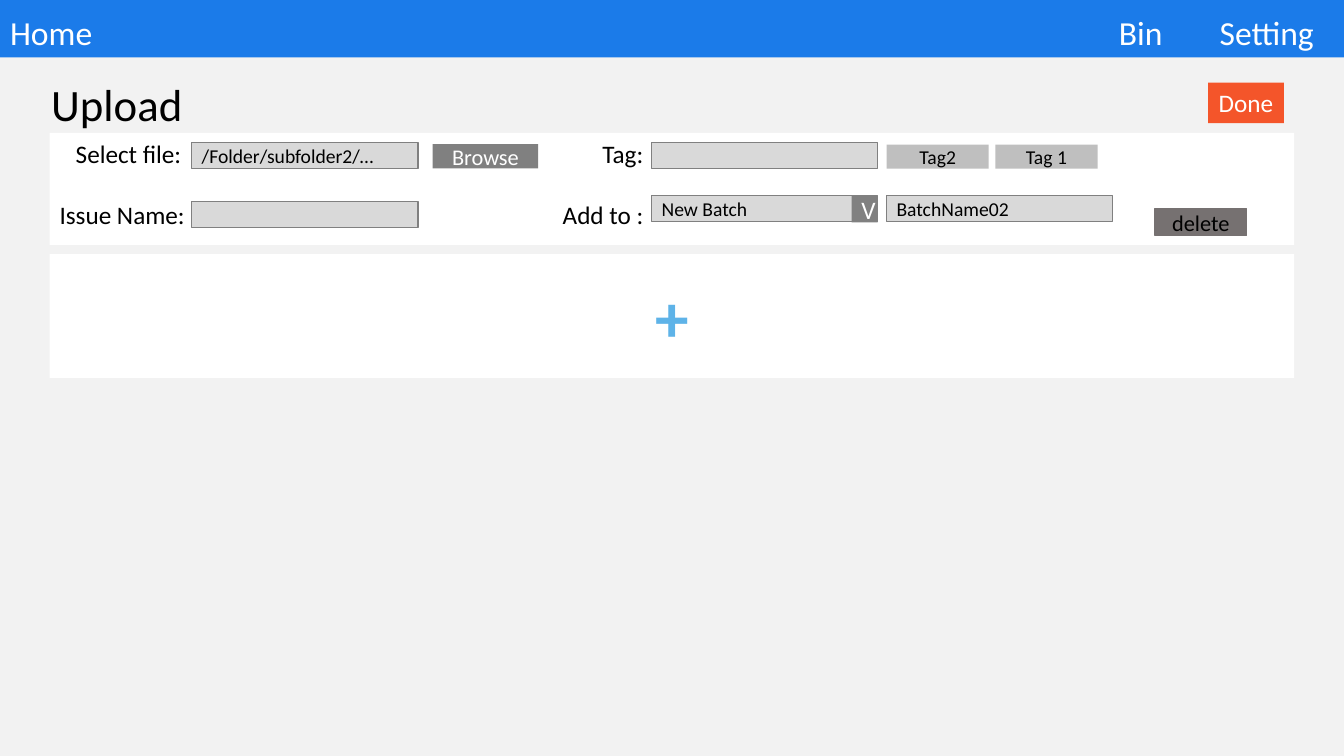
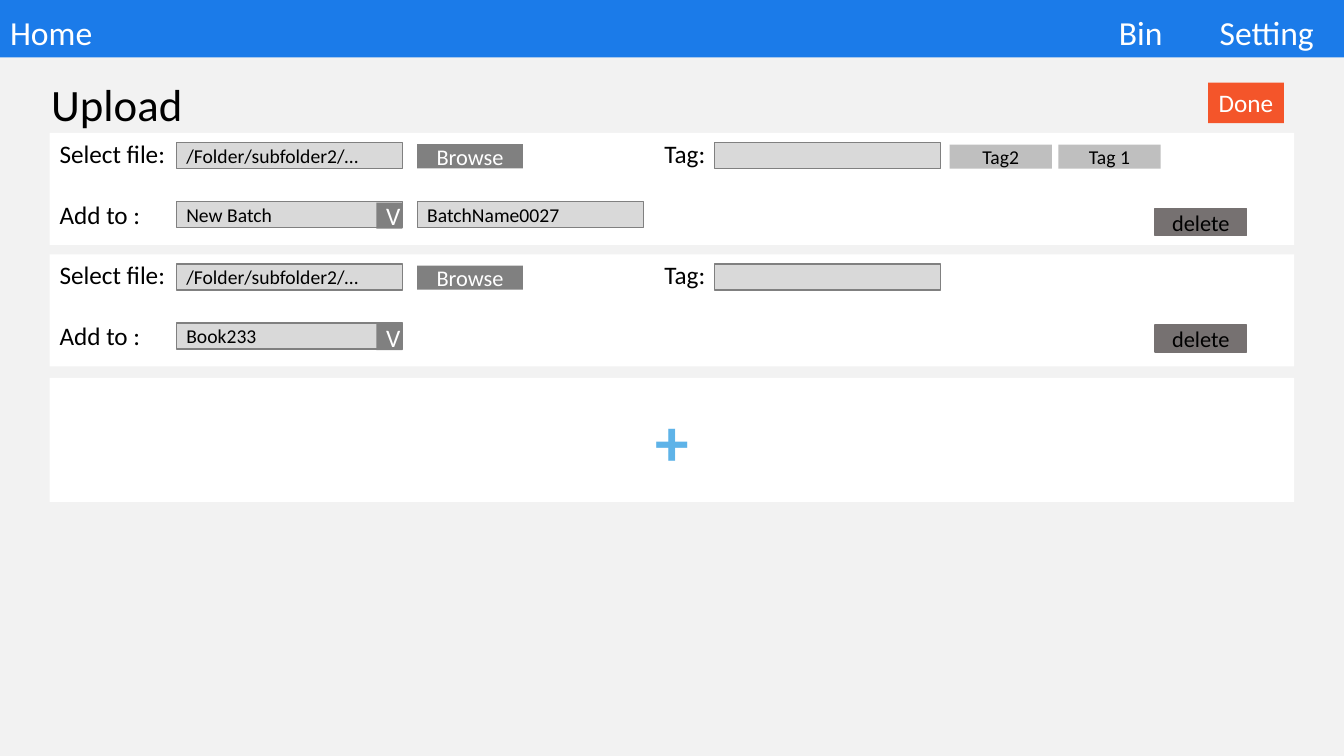
import dataclasses

import lxml.etree
import pptx
import pptx.dml.color
import pptx.enum.shapes
import pptx.enum.text
import pptx.oxml.ns
import pptx.util

Pt = pptx.util.Pt
Align = pptx.enum.text.PP_ALIGN
Anchor = pptx.enum.text.MSO_ANCHOR


@dataclasses.dataclass(frozen=True)
class Theme:
    font: str = "Calibri"
    page: str = "F2F2F2"
    bar: str = "1B7BE9"
    card: str = "FFFFFF"
    field: str = "D9D9D9"
    edge: str = "808080"
    tag: str = "BFBFBF"
    drop: str = "767171"
    done: str = "F4552A"
    plus: str = "5EB3E8"
    dark: str = "000000"
    light: str = "FFFFFF"
    small: int = 14
    mid: int = 16
    body: int = 18
    menu: int = 24
    head: int = 32
    sign: int = 48


@dataclasses.dataclass(frozen=True)
class Form:
    """Column offsets inside a card, and the way its labels line up."""
    rows: tuple
    tabs: tuple
    side: str
    left: float
    right: float


THEME = Theme()
WIDE, HIGH = 960, 540
EDGE, SPAN = 35.5, 889
TOP, TALL = 95, 80
FIELD = (161.5, 18.7)
ROW = 6.8, 49
GAP, NEAR = 10.5, 6.3

RIGHT = Form(("\tSelect file:\tTag:", "Issue Name:\tAdd to :"),
             ((87, 417), (417,)), "r", 101.5, 430)
LEFT = Form(("Select file:\tTag:", "Add to :"),
            ((432,), ()), "l", 90.5, 475)


def tint(color):
    return pptx.dml.color.RGBColor.from_string(color)


def style(frame, size, color, align=Align.LEFT, bold=False):
    for par in frame.paragraphs:
        par.alignment = align
        for run in par.runs:
            run.font.name = THEME.font
            run.font.size = Pt(size)
            run.font.bold = bold
            run.font.color.rgb = tint(color)


def stops(par, places, side):
    """Give a paragraph its tab stops."""
    name = pptx.oxml.ns.qn
    props = par._p.get_or_add_pPr()
    tabs = lxml.etree.SubElement(props, name("a:tabLst"))
    for place in places:
        lxml.etree.SubElement(tabs, name("a:tab"), pos=str(Pt(place)), algn=side)


def box(slide, x, y, w, h, fill, line=None, text="", size=THEME.small,
        color=THEME.dark, align=Align.CENTER, anchor=Anchor.MIDDLE, bold=False):
    kind = pptx.enum.shapes.MSO_SHAPE.RECTANGLE
    shape = slide.shapes.add_shape(kind, Pt(x), Pt(y), Pt(w), Pt(h))
    shape.shadow.inherit = False
    shape.fill.solid()
    shape.fill.fore_color.rgb = tint(fill)
    if line:
        shape.line.color.rgb = tint(line)
        shape.line.width = Pt(1)
    else:
        shape.line.fill.background()
    frame = shape.text_frame
    frame.word_wrap = True
    frame.vertical_anchor = anchor
    if text:
        frame.text = text
        style(frame, size, color, align, bold)
    return shape


def field(slide, x, y, text=""):
    box(slide, x, y, *FIELD, THEME.field, THEME.edge, text, align=Align.LEFT)


def pick(slide, x, y, text):
    """Field with a drop-down button at its right end."""
    side = FIELD[1]
    field(slide, x, y, text)
    box(slide, x + FIELD[0] - side, y + 0.7, side, side, THEME.edge,
        text="V", size=THEME.body, color=THEME.light)


def header(slide):
    """Menu bar, page heading and the Done button."""
    bar = slide.shapes.title
    bar.left, bar.top, bar.width, bar.height = Pt(0), Pt(0), Pt(WIDE), Pt(41)
    bar.fill.solid()
    bar.fill.fore_color.rgb = tint(THEME.bar)
    frame = bar.text_frame
    frame.auto_size = pptx.enum.text.MSO_AUTO_SIZE.NONE
    frame.vertical_anchor = Anchor.BOTTOM
    frame.text = "Home\tBin\tSetting"
    style(frame, THEME.menu, THEME.light)
    frame.paragraphs[0].line_spacing = 0.9
    stops(frame.paragraphs[0], (792, 864), "l")

    head = slide.shapes.add_textbox(Pt(29.5), Pt(51), Pt(108), Pt(46)).text_frame
    head.word_wrap = False
    head.text = "Upload"
    style(head, THEME.head, THEME.dark)

    done = box(slide, 863, 59, 54, 29, THEME.done, text="Done",
               size=THEME.body, color=THEME.light, anchor=Anchor.TOP)
    done.text_frame.word_wrap = False


def card(slide, y, form, batch, tags=(), drop=54, pull=None, name=None, issue=False):
    """One upload form; pull is the drop-down spot, name the batch field spot."""
    # Panel with labels
    panel = box(slide, EDGE, y, SPAN, TALL, THEME.card, text="\n".join(form.rows),
                size=THEME.body, align=Align.LEFT, anchor=Anchor.TOP)
    pars = panel.text_frame.paragraphs
    pars[1].space_before = Pt(22)
    for par, places in zip(pars, form.tabs):
        stops(par, places, form.side)

    # File and tag row
    left, right = EDGE + form.left, EDGE + form.right
    first, second = (y + row for row in ROW)
    field(slide, left, first, "/Folder/subfolder2/…")
    box(slide, left + FIELD[0] + GAP, first + 1.2, 75.5, 17.3, THEME.edge,
        text="Browse", size=THEME.mid, color=THEME.light)
    field(slide, right, first)
    for step, tag in enumerate(tags):
        chip = box(slide, right + FIELD[0] + NEAR + step * 77.7, first + 1.5,
                   73, 17.3, THEME.tag, text=tag)
        frame = chip.text_frame
        frame.margin_left = frame.margin_right = 0
        frame.margin_top = frame.margin_bottom = 0

    # Batch row
    if issue:
        field(slide, left, second)
    spot, gap = (right, NEAR) if issue else (left, GAP)
    line = second - 4.5 if issue else second
    pick(slide, spot, line, batch)
    if name:
        field(slide, spot + FIELD[0] + gap, line, name)
    box(slide, EDGE + 789.5, y + drop, 65.5, 19.4, THEME.drop, THEME.drop,
        "delete", THEME.mid)


def adder(slide, y):
    """Panel that adds another form."""
    box(slide, EDGE, y, SPAN, 88.5, THEME.card, text="+",
        size=THEME.sign, color=THEME.plus, bold=True)


def page(deck):
    slide = deck.slides.add_slide(deck.slide_layouts[5])
    header(slide)
    return slide


def main():
    deck = pptx.Presentation()
    deck.slide_width, deck.slide_height = Pt(WIDE), Pt(HIGH)
    back = deck.slide_master.background.fill
    back.solid()
    back.fore_color.rgb = tint(THEME.page)
    tags = ("Tag2", "Tag 1")

    # One form, with an issue name
    slide = page(deck)
    card(slide, TOP, RIGHT, "New Batch", tags, name="BatchName02", issue=True)
    adder(slide, 181.5)

    # Two forms
    slide = page(deck)
    card(slide, TOP, LEFT, "New Batch", tags, name="BatchName0027")
    card(slide, 181.7, LEFT, "Book233", drop=50.4)
    adder(slide, 270)

    deck.save("out.pptx")


if __name__ == "__main__":
    main()
